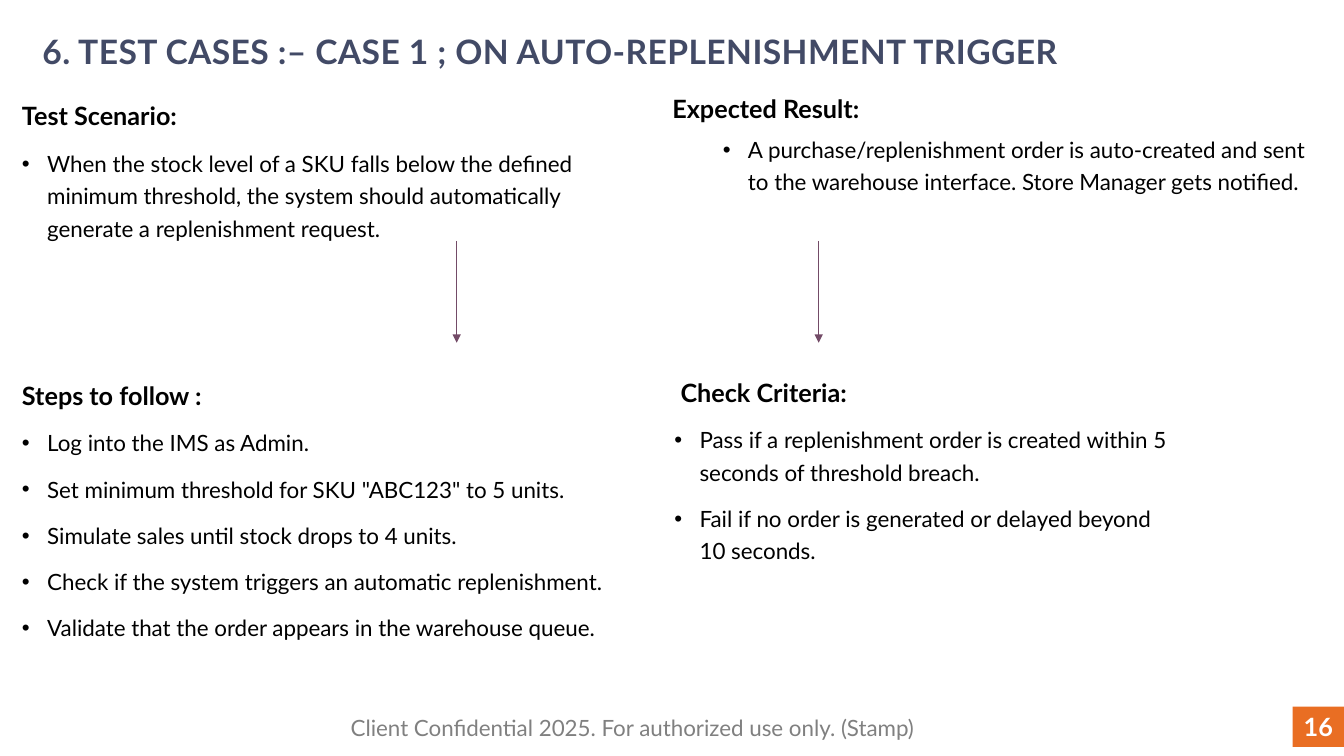
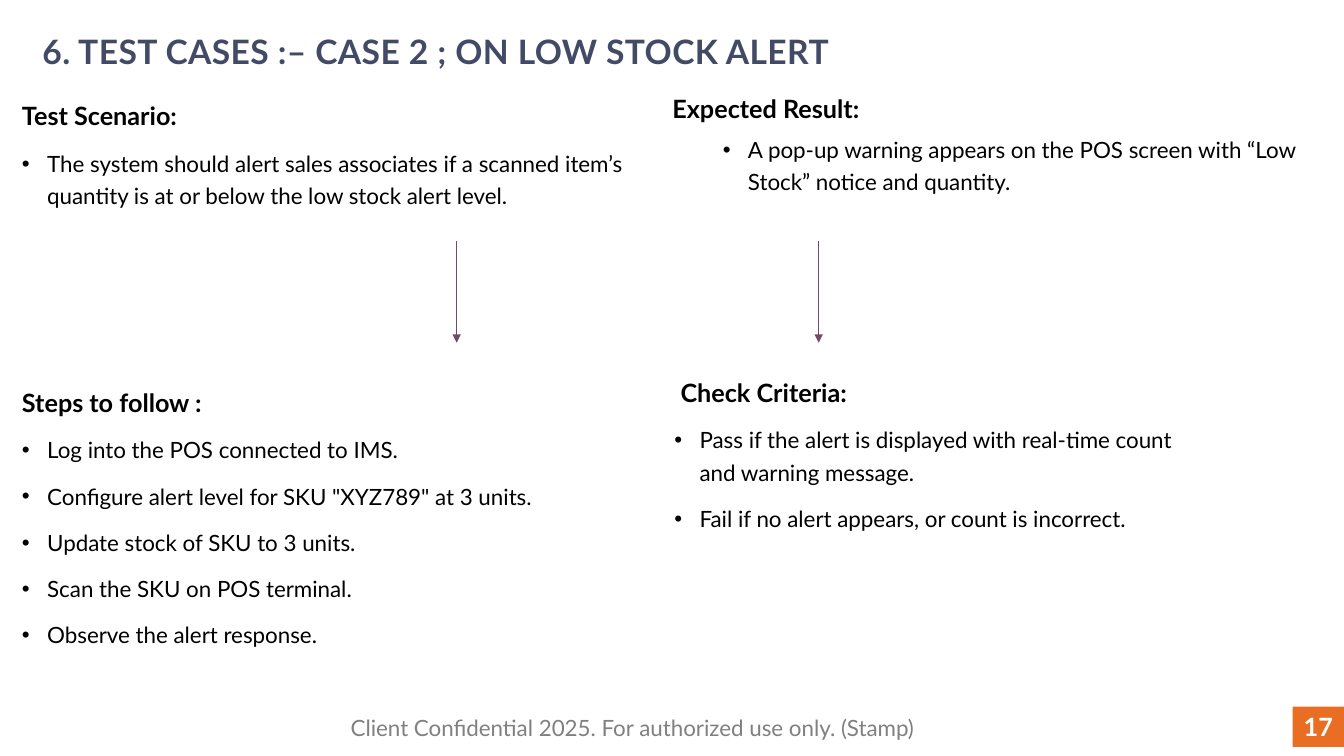
"""Build two test case slides for an inventory system."""
from lxml import etree
from pptx import Presentation
from pptx.dml.color import RGBColor
from pptx.enum.shapes import MSO_CONNECTOR, MSO_SHAPE
from pptx.enum.text import MSO_ANCHOR, MSO_AUTO_SIZE, PP_ALIGN
from pptx.oxml.ns import qn
from pptx.util import Inches, Pt

LINE = MSO_CONNECTOR.STRAIGHT
RECT = MSO_SHAPE.RECTANGLE
TOP, MIDDLE = MSO_ANCHOR.TOP, MSO_ANCHOR.MIDDLE
LEFT, CENTER = PP_ALIGN.LEFT, PP_ALIGN.CENTER
FIXED = MSO_AUTO_SIZE.NONE
FOOTER = "Client Confidential 2025. For authorized use only. (Stamp)"

CASES = [
    {
        "title": "6. TEST CASES :– CASE 1 ; ON AUTO-REPLENISHMENT TRIGGER",
        "number": 16,
        "scene": ["When the stock level of a SKU falls below the defined minimum "
                  "threshold, the system should automatically generate a "
                  "replenishment request."],
        "result": ["A purchase/replenishment order is auto-created and sent to the "
                   "warehouse interface. Store Manager gets notified."],
        "top": 3.66,
        "steps": ["Log into the IMS as Admin.",
                  "Set minimum threshold for SKU \"ABC123\" to 5 units.",
                  "Simulate sales until stock drops to 4 units.",
                  "Check if the system triggers an automatic replenishment.",
                  "Validate that the order appears in the warehouse queue."],
        "checks": ["Pass if a replenishment order is created within 5 seconds of "
                   "threshold breach.",
                   "Fail if no order is generated or delayed beyond 10 seconds."],
    },
    {
        "title": "6. TEST CASES :– CASE 2 ; ON LOW STOCK ALERT",
        "number": 17,
        "scene": ["The system should alert sales associates if a scanned item’s "
                  "quantity is at or below the low stock alert level."],
        "result": ["A pop-up warning appears on the POS screen with “Low Stock” "
                   "notice and quantity."],
        "top": 3.73,
        "steps": ["Log into the POS connected to IMS.",
                  "Configure alert level for SKU \"XYZ789\" at 3 units.",
                  "Update stock of SKU to 3 units.",
                  "Scan the SKU on POS terminal.",
                  "Observe the alert response."],
        "checks": ["Pass if the alert is displayed with real-time count and warning "
                   "message.",
                   "Fail if no alert appears, or count is incorrect."],
    },
]


def color(code):
    return RGBColor.from_string(code)


class Deck:
    FONT = "Lato"
    NAVY, ORANGE, PLUM = "424A66", "E96E23", "734B67"
    BLACK, GREY, WHITE = "000000", "808080", "FFFFFF"

    def __init__(self):
        self.file = Presentation()
        self.file.slide_width = Inches(13.33)
        self.file.slide_height = Inches(7.5)
        self.slide = None

    def style(self, para, size, code, bold=False):
        for run in para.runs:
            font = run.font
            font.name, font.size, font.bold = self.FONT, Pt(size), bold
            font.color.rgb = color(code)

    def start(self, title):
        self.slide = self.file.slides.add_slide(self.file.slide_layouts[5])
        shape = self.slide.shapes.title
        shape.left, shape.top = Inches(0.32), Inches(0.26)
        shape.width, shape.height = Inches(13), Inches(0.46)
        frame = shape.text_frame
        frame.text = title
        frame.auto_size, frame.vertical_anchor = FIXED, TOP
        para = frame.paragraphs[0]
        para.alignment = LEFT
        self.style(para, 24, self.NAVY, True)
        para.runs[0].font._element.set("spc", "30")

    def box(self, left, top, width, height):
        shape = self.slide.shapes.add_textbox(
            Inches(left), Inches(top), Inches(width), Inches(height))
        shape.text_frame.word_wrap = True
        return shape.text_frame

    def block(self, area, head, items, lead=1.0, indent=0.25, gap=10):
        frame = self.box(*area)
        frame.text = head
        first = frame.paragraphs[0]
        first.line_spacing = lead
        self.style(first, 18, self.BLACK, True)
        for item in items:
            para = frame.add_paragraph()
            para.text = item
            para.line_spacing, para.space_before = 1.2, Pt(gap)
            self.style(para, 16, self.BLACK)
            props = para._p.get_or_add_pPr()
            props.set("marL", str(Inches(indent)))
            props.set("indent", str(Inches(-0.25)))
            etree.SubElement(props, qn("a:buFont")).set("typeface", "Arial")
            etree.SubElement(props, qn("a:buChar")).set("char", "•")

    def arrow(self, left, top, end):
        line = self.slide.shapes.add_connector(
            LINE, Inches(left), Inches(top), Inches(left), Inches(end))
        line.line.color.rgb = color(self.PLUM)
        line.line.width = Pt(0.5)
        props = line._element.spPr
        etree.SubElement(props.find(qn("a:ln")), qn("a:tailEnd")).set("type", "triangle")
        etree.SubElement(props, qn("a:effectLst"))

    def footer(self, number):
        badge = self.slide.shapes.add_shape(
            RECT, Inches(12.82), Inches(7.01), Inches(0.51), Inches(0.4))
        badge.shadow.inherit = False
        badge.fill.solid()
        badge.fill.fore_color.rgb = color(self.ORANGE)
        badge.line.fill.background()
        frame = badge.text_frame
        frame.margin_left = frame.margin_right = 0
        frame.text = str(number)
        frame.vertical_anchor = MIDDLE
        frame.paragraphs[0].alignment = CENTER
        self.style(frame.paragraphs[0], 18, self.WHITE, True)

        note = self.box(3.38, 7.02, 6.5, 0.4)
        note.text = FOOTER
        note.vertical_anchor = MIDDLE
        self.style(note.paragraphs[0], 16, self.GREY)

    def case(self, data):
        self.start(data["title"])
        self.block((0.12, 0.89, 6.3, 1.5), "Test Scenario:", data["scene"], lead=1.2)
        self.block((0.12, data["top"], 6.3, 2.8), "Steps to follow :",
                   data["steps"], lead=1.2)
        self.block((6.59, 3.69, 5.21, 1.96), " Check Criteria:", data["checks"])
        self.block((6.57, 0.88, 6.65, 1.1), "Expected Result:", data["result"],
                   indent=0.75, gap=5)
        for left in (4.53, 8.12):
            self.arrow(left, 2.39, 3.4)
        self.footer(data["number"])


def main():
    deck = Deck()
    for data in CASES:
        deck.case(data)
    deck.file.save("out.pptx")


if __name__ == "__main__":
    main()
